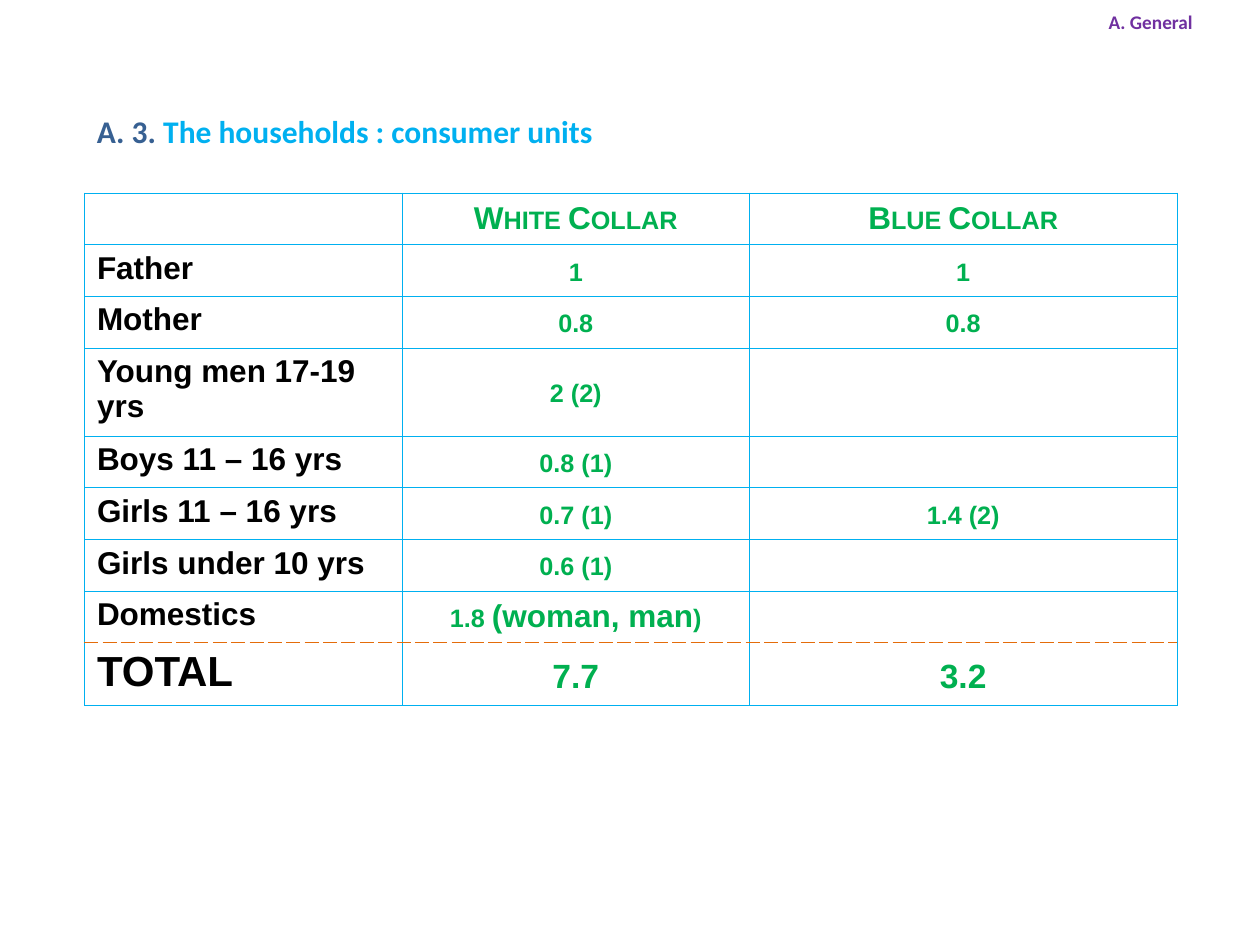
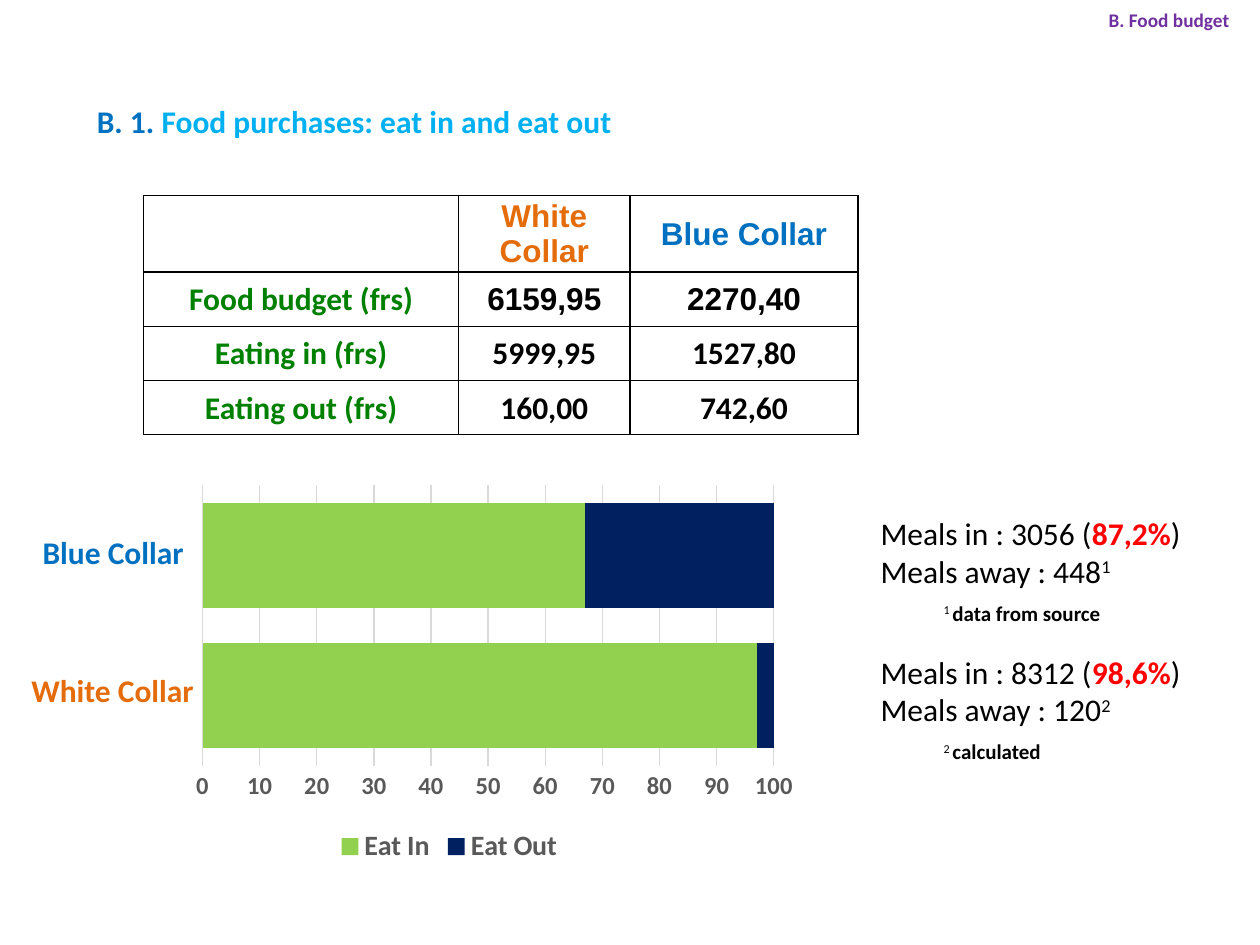
import pptx
import pptx.util
import pptx.chart.data
import pptx.dml.color
import pptx.enum.chart
import pptx.enum.text
import lxml.etree
from pptx.util import Inches

RGB = pptx.dml.color.RGBColor
BLACK, RED = RGB(0, 0, 0), RGB(0xFF, 0, 0)
SKY, BLUE, STEEL = RGB(0, 0xB0, 0xF0), RGB(0, 0x70, 0xC0), RGB(0x37, 0x60, 0x92)
NAVY, PURPLE, ORANGE = RGB(0, 0x20, 0x60), RGB(0x70, 0x30, 0xA0), RGB(0xE4, 0x6C, 0x0A)
GREEN, DARK_GREEN, LIME = RGB(0, 0xB0, 0x50), RGB(0, 0x80, 0), RGB(0x92, 0xD0, 0x50)
GREY, PALE = RGB(0x59, 0x59, 0x59), RGB(0xD9, 0xD9, 0xD9)
CENTER = pptx.enum.text.PP_ALIGN.CENTER
MIDDLE = pptx.enum.text.MSO_ANCHOR.MIDDLE

# Slide 1: household member, white collar units, blue collar units
UNITS = [
    ("", "White Collar", "Blue Collar"),
    ("Father", "1", "1"),
    ("Mother", "0.8", "0.8"),
    ("Young men 17-19 yrs", "2 (2)", ""),
    ("Boys 11 – 16 yrs", "0.8 (1)", ""),
    ("Girls 11 – 16 yrs", "0.7 (1)", "1.4 (2)"),
    ("Girls under 10 yrs", "0.6 (1)", ""),
    ("Domestics", ("1.8 ", "(woman, man", ")"), ""),
    ("TOTAL", "7.7", "3.2"),
]
UNIT_COLS = (2.52, 2.76, 3.39)

# Slide 2: yearly budget, shares of the budget, meal counts
BUDGET = [
    ("", "White Collar", "Blue Collar"),
    ("Food budget (frs)", "6159,95", "2270,40"),
    ("Eating in (frs)", "5999,95", "1527,80"),
    ("Eating out (frs)", "160,00", "742,60"),
]
BUDGET_COLS = (2.5, 1.36, 1.81)
SHARES = [("Eat In", (97, 67), LIME), ("Eat Out", (3, 33), NAVY)]
BAR_LABELS = [("Blue Collar", BLUE, 0.24, 4.18, 1.33),
              ("White Collar", ORANGE, 0.15, 5.28, 1.5)]
MEALS = [  # top, meals in, share, meals away, note number, note
    (4.03, "3056", "87,2%", "448", "1", "data from source"),
    (5.13, "8312", "98,6%", "120", "2", "calculated"),
]


def add_run(p, text, color=BLACK, size=18, font="Calibri", bold=True, **attrs):
    """Add one formatted run; attrs are raw run attributes such as cap or baseline."""
    r = p.add_run()
    r.text = text
    r.font.name, r.font.size, r.font.bold = font, pptx.util.Pt(size), bold
    r.font.color.rgb = color
    for key, value in attrs.items():
        r._r.get_or_add_rPr().set(key, value)


def add_text(s, x, y, w, h, wrap=False):
    """Add an empty text box and return its text frame."""
    tf = s.shapes.add_textbox(Inches(x), Inches(y), Inches(w), Inches(h)).text_frame
    tf.word_wrap = wrap
    tf.auto_size = pptx.enum.text.MSO_AUTO_SIZE.SHAPE_TO_FIT_TEXT
    return tf


def add_headed_slide(prs, section, section_box, number, number_color, title, title_box):
    """Add a blank slide with its numbered title and section mark."""
    s = prs.slides.add_slide(prs.slide_layouts[6])
    p = add_text(s, *title_box).paragraphs[0]
    add_run(p, number + " ", number_color)
    add_run(p, title, SKY)
    add_run(add_text(s, *section_box).paragraphs[0], section, PURPLE, 11)
    return s


def set_border(cell, side, color, width, dash="solid"):
    """Draw one side (L, R, T or B) of a cell."""
    ns = "{http://schemas.openxmlformats.org/drawingml/2006/main}"
    ln = lxml.etree.SubElement(cell._tc.get_or_add_tcPr(), ns + "ln" + side,
                               w=str(int(pptx.util.Pt(width))))
    fill = lxml.etree.SubElement(ln, ns + "solidFill")
    lxml.etree.SubElement(fill, ns + "srgbClr", val=str(color))
    lxml.etree.SubElement(ln, ns + "prstDash", val=dash)


def add_grid(s, x, y, widths, row_height, rows, border, fill_cell):
    """Add an unfilled table; border and fill_cell decide the look of each cell."""
    tbl = s.shapes.add_table(len(rows), len(widths), Inches(x), Inches(y),
                             Inches(sum(widths)), Inches(row_height * len(rows))).table
    tbl.first_row = tbl.horz_banding = False
    for col, w in zip(tbl.columns, widths):
        col.width = Inches(w)
    for i, row in enumerate(rows):
        tbl.rows[i].height = Inches(row_height)
        for j, content in enumerate(row):
            cell = tbl.cell(i, j)
            for side in "LRTB":
                set_border(cell, side, *border(i, side))
            cell.fill.background()
            if content:
                fill_cell(cell, i, j, content)


def unit_border(i, side):
    """Thin sky lines, with a dashed orange line above the total."""
    total = len(UNITS) - 1
    if (i, side) in ((total - 1, "B"), (total, "T")):
        return ORANGE, 1, "lgDash"
    return SKY, 0.25


def fill_unit(cell, i, j, content):
    """Write black row names, and green small capitals elsewhere."""
    p = cell.text_frame.paragraphs[0]
    size = 24 if i == len(UNITS) - 1 else 18
    if j == 0:
        add_run(p, content, BLACK, size, "Arial")
        return
    cell.vertical_anchor, p.alignment = MIDDLE, CENTER
    for k, part in enumerate([content] if isinstance(content, str) else content):
        add_run(p, part, GREEN, size, "Arial", cap="none" if k == 1 else "small")


def fill_budget(cell, i, j, content):
    """Write a centred budget cell, coloured by its row or column heading."""
    cell.margin_left = cell.margin_right = cell.margin_top = Inches(0.01)
    cell.margin_bottom = 0
    cell.vertical_anchor = MIDDLE
    p = cell.text_frame.paragraphs[0]
    p.alignment = CENTER
    color = DARK_GREEN if j == 0 else (ORANGE, BLUE)[j - 1] if i == 0 else BLACK
    add_run(p, content, color, font="Arial" if j and i < 2 else "Calibri")


def style_font(font, size, color=GREY, bold=True):
    """Set the font of a chart part."""
    font.name, font.size, font.bold = "Calibri", pptx.util.Pt(size), bold
    font.color.rgb = color


def add_share_chart(s):
    """Add the stacked bars of eating in and eating out."""
    data = pptx.chart.data.CategoryChartData()
    data.categories = ["1", "2"]
    for name, values, _ in SHARES:
        data.add_series(name, values)
    chart = s.shapes.add_chart(pptx.enum.chart.XL_CHART_TYPE.BAR_STACKED, Inches(0.67),
                               Inches(3.28), Inches(5.79), Inches(3.62), data).chart
    style_font(chart.font, 10, BLACK, False)
    chart.has_title = False
    chart.has_legend = True
    chart.legend.position = pptx.enum.chart.XL_LEGEND_POSITION.BOTTOM
    chart.legend.include_in_layout = False
    style_font(chart.legend.font, 16)

    plot = chart.plots[0]
    plot.gap_width, plot.overlap, plot.vary_by_categories = 33, 100, False
    for series, (_, _, color) in zip(plot.series, SHARES):
        series.format.fill.solid()
        series.format.fill.fore_color.rgb = color

    chart.category_axis.visible = False
    axis = chart.value_axis
    axis.minimum_scale, axis.maximum_scale, axis.major_unit = 0, 100, 10
    axis.major_tick_mark = axis.minor_tick_mark = pptx.enum.chart.XL_TICK_MARK.NONE
    axis.tick_labels.number_format = "0"
    axis.tick_labels.number_format_is_linked = False
    style_font(axis.tick_labels.font, 14)
    axis.format.line.fill.background()
    grid = axis.major_gridlines.format.line
    grid.color.rgb, grid.width = PALE, pptx.util.Pt(0.75)

    ns = "{http://schemas.openxmlformats.org/drawingml/2006/chart}"
    area = chart._chartSpace.find(".//" + ns + "plotArea")
    for old in area.findall(ns + "layout"):
        area.remove(old)
    layout = lxml.etree.Element(ns + "layout")
    area.insert(0, layout)
    manual = lxml.etree.SubElement(layout, ns + "manualLayout")
    for tag, value in (("layoutTarget", "inner"), ("xMode", "edge"), ("yMode", "edge"),
                       ("x", "0.162"), ("y", "0.158"), ("w", "0.783"), ("h", "0.615")):
        lxml.etree.SubElement(manual, ns + tag, val=value)


def add_meals(s, top, meals_in, share, away, mark, note):
    """Add the meal counts beside one bar, with their footnote."""
    tf = add_text(s, 6.89, top, 2.8, 1.01, wrap=True)
    p = tf.paragraphs[0]
    add_run(p, f"Meals in : {meals_in} (", bold=False)
    add_run(p, share, RED)
    add_run(p, ")", bold=False)
    p = tf.add_paragraph()
    add_run(p, f"Meals away : {away}", bold=False)
    add_run(p, mark, bold=False, baseline="30000")
    p = tf.add_paragraph()
    add_run(p, "\t", bold=False)
    add_run(p, mark + " ", size=12, bold=False, baseline="30000")
    add_run(p, note, size=12)


prs = pptx.Presentation()
prs.slide_width, prs.slide_height = Inches(10), Inches(7.5)

s = add_headed_slide(prs, "A. General", (8.7, 0.03, 0.88, 0.29), "A. 3.", STEEL,
                     "The households : consumer units", (0.67, 0.84, 4.19, 0.4))
add_grid(s, 0.67, 1.53, UNIT_COLS, 0.41, UNITS, unit_border, fill_unit)

s = add_headed_slide(prs, "B. Food budget", (8.7, 0.02, 1.17, 0.29), "B. 1.", BLUE,
                     "Food purchases: eat in and eat out", (0.67, 0.76, 4.38, 0.4))
add_share_chart(s)
add_grid(s, 1.14, 1.55, BUDGET_COLS, 0.43, BUDGET, lambda i, side: (BLACK, 1), fill_budget)
for label, color, x, y, w in BAR_LABELS:
    add_run(add_text(s, x, y, w, 0.4).paragraphs[0], label, color)
for meal in MEALS:
    add_meals(s, *meal)

prs.save("out.pptx")
